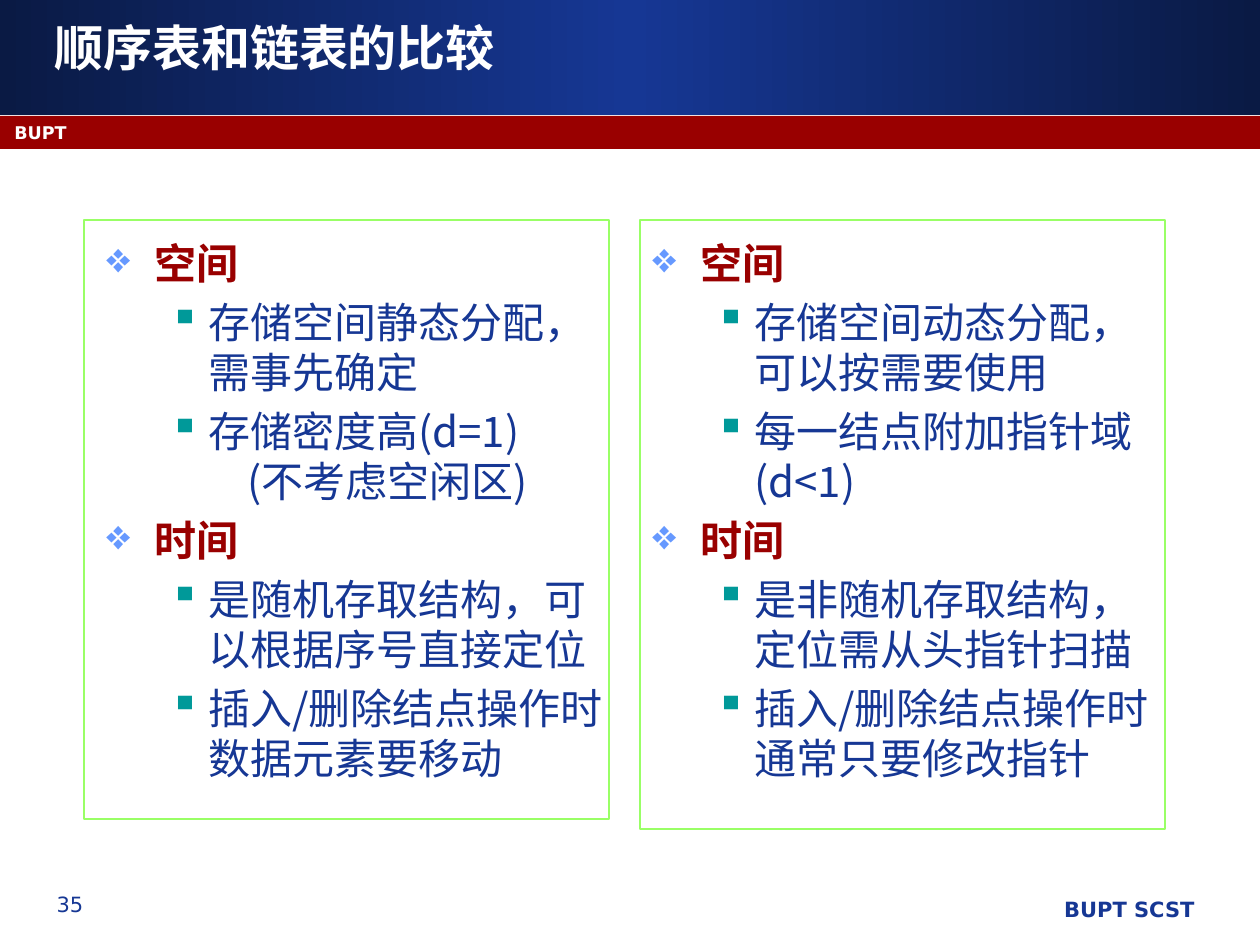
from pptx import Presentation
from pptx.dml.color import RGBColor as Rgb
from pptx.enum.shapes import MSO_SHAPE as Kind
from pptx.enum.text import MSO_ANCHOR as Anchor, PP_ALIGN as Align
from pptx.oxml.ns import qn
from pptx.util import Emu, Pt
from lxml.etree import SubElement

SCALE = 914400 / 126
SANS, CJK, MARKS = "DejaVu Sans", "Noto Sans CJK SC", "OpenSymbol"
HUES = {"navy": "163794", "dark": "0A1A44", "red": "990000", "white": "FFFFFF",
        "sky": "6699FF", "teal": "009999", "lime": "99FF66"}


def px(n):
    return Emu(round(n * SCALE))


def hue(name):
    return Rgb.from_string(HUES[name])


def write(para, text, size=24, font=SANS, color="navy", bold=False, align=Align.LEFT):
    run = para.add_run()
    run.text = text
    run.font.size, run.font.name, run.font.bold = Pt(size), font, bold
    run.font.color.rgb = hue(color)
    SubElement(run.font._element, qn("a:ea")).set("typeface", font)
    para.alignment = align


def indent(para, left, hang, mark=None, color=None):
    props = para._p.get_or_add_pPr()
    props.set("marL", str(px(left)))
    props.set("indent", str(-px(hang)))
    if mark is None:
        SubElement(props, qn("a:buNone"))
        return
    tint = SubElement(props, qn("a:buClr"))
    SubElement(tint, qn("a:srgbClr")).set("val", HUES[color])
    SubElement(props, qn("a:buFont")).set("typeface", MARKS)
    SubElement(props, qn("a:buChar")).set("char", mark)


class Deck:
    # Level: left edge, hang, bullet, bullet colour, text colour, bold
    levels = {"head": (48, 48, "❖", "sky", "red", True),
              "item": (102, 39, "▪", "teal", "navy", False),
              "more": (141, 0, None, None, "navy", False)}

    def __init__(self):
        self.prs = Presentation()
        self.prs.slide_width, self.prs.slide_height = px(1260), px(945)
        self.slide = self.prs.slides.add_slide(self.prs.slide_layouts[6])

    def rect(self, *box, fill=None, line=None):
        item = self.slide.shapes.add_shape(Kind.RECTANGLE, *map(px, box))
        item.shadow.inherit = False
        if fill:
            item.fill.solid()
            item.fill.fore_color.rgb = hue(fill)
        else:
            item.fill.background()
        if line:
            item.line.color.rgb = hue(line)
            item.line.width = Pt(0.75)
        else:
            item.line.fill.background()
        return item

    def blend(self, *box, edge, mid):
        item = self.rect(*box)
        item.fill.gradient()
        item.fill.gradient_angle = 0
        stops = item.fill._fill._gradFill.find(qn("a:gsLst"))
        for stop in list(stops):
            stops.remove(stop)
        for pos, name in ((0, edge), (50, mid), (100, edge)):
            stop = SubElement(stops, qn("a:gs"))
            stop.set("pos", str(pos * 1000))
            SubElement(stop, qn("a:srgbClr")).set("val", HUES[name])

    def frame(self, *box, anchor=Anchor.TOP):
        body = self.slide.shapes.add_textbox(*map(px, box)).text_frame
        body.word_wrap = True
        body.vertical_anchor = anchor
        return body

    def label(self, text, *box, anchor=Anchor.TOP, **form):
        write(self.frame(*box, anchor=anchor).paragraphs[0], text, **form)

    def points(self, rows, *box):
        body = self.frame(*box)
        for n, (level, text) in enumerate(rows):
            para = body.paragraphs[0] if n == 0 else body.add_paragraph()
            left, hang, mark, tint, color, bold = self.levels[level]
            indent(para, left, hang, mark, tint)
            para.space_before = Pt(4.8 if n and level != "more" else 0)
            write(para, text, font=CJK, color=color, bold=bold)


def main():
    deck = Deck()

    # Header bands
    deck.blend(0, 0, 1260, 115, edge="dark", mid="navy")
    deck.rect(0, 116, 1260, 33, fill="red")

    # Footer, band label and title
    deck.label("BUPT SCST", 530, 890, 677, 44, size=12, bold=True, align=Align.RIGHT)
    deck.label("35", 15, 885, 110, 44, size=12, align=Align.CENTER)
    deck.label("BUPT", 2, 116, 1166, 32, size=10, color="white", bold=True)
    deck.label("顺序表和链表的比较", 42, 21, 1166, 52, anchor=Anchor.MIDDLE,
               size=28, color="white", bold=True)

    # Comparison columns
    array = [("head", "空间"),
             ("item", "存储空间静态分配，需事先确定"),
             ("item", "存储密度高(d=1)"),
             ("more", "(不考虑空闲区)"),
             ("head", "时间"),
             ("item", "是随机存取结构，可以根据序号直接定位"),
             ("item", "插入/删除结点操作时数据元素要移动")]
    chain = [("head", "空间"),
             ("item", "存储空间动态分配，可以按需要使用"),
             ("item", "每一结点附加指针域(d<1)"),
             ("head", "时间"),
             ("item", "是非随机存取结构，定位需从头指针扫描"),
             ("item", "插入/删除结点操作时通常只要修改指针")]
    for left, rows in ((94, array), (640, chain)):
        deck.points(rows, left, 231, 525, 609)

    # Column borders
    for left, high in ((84, 599), (640, 609)):
        deck.rect(left, 220, 525, high, line="lime")

    deck.prs.save("out.pptx")


if __name__ == "__main__":
    main()
